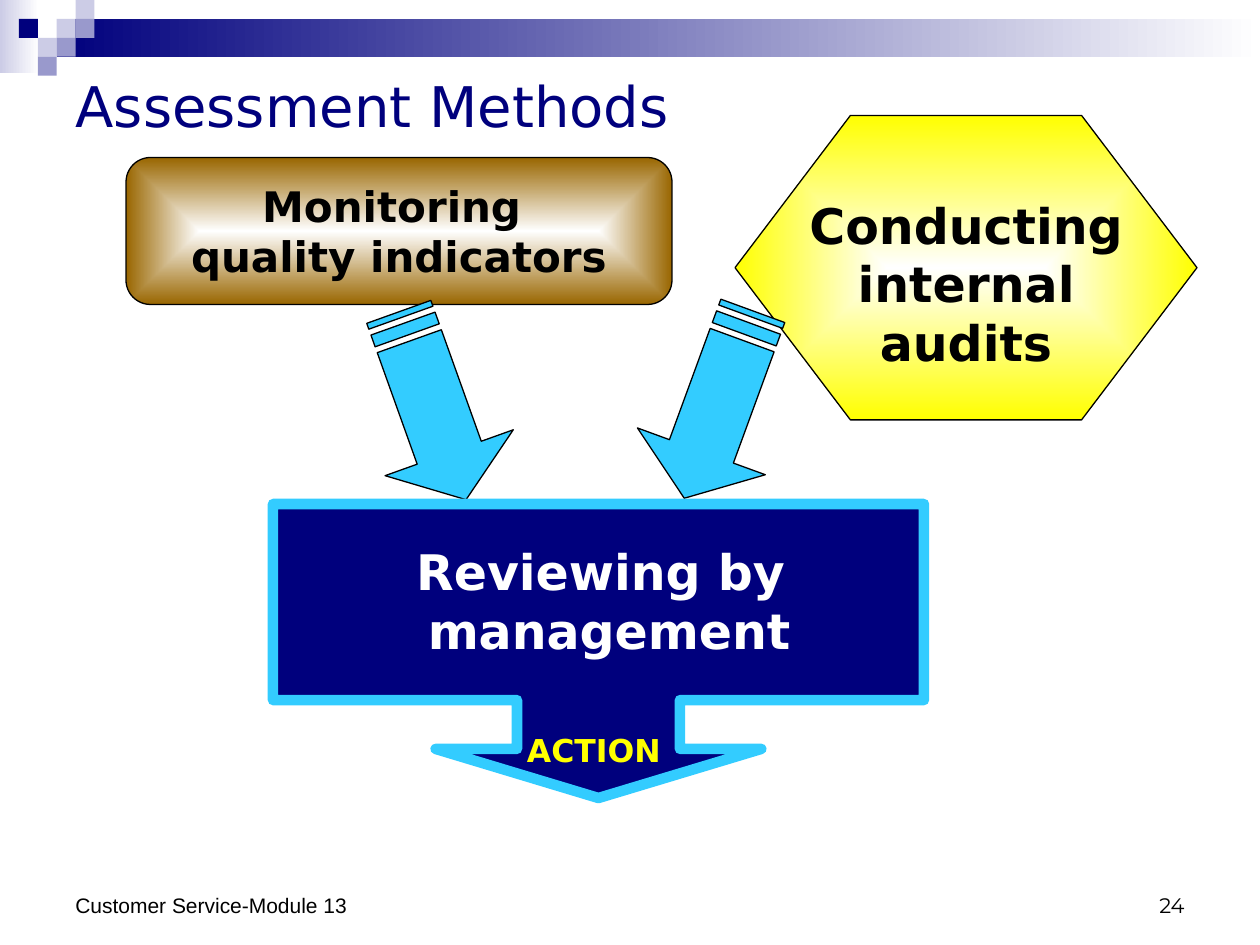
from dataclasses import dataclass

from lxml import etree
from pptx import Presentation
from pptx.dml.color import RGBColor
from pptx.enum.shapes import MSO_SHAPE
from pptx.enum.text import MSO_ANCHOR, PP_ALIGN
from pptx.oxml.ns import qn
from pptx.util import Pt

RECT = MSO_SHAPE.RECTANGLE
ROUND_RECT = MSO_SHAPE.ROUNDED_RECTANGLE
HEXAGON = MSO_SHAPE.HEXAGON
CALLOUT = MSO_SHAPE.DOWN_ARROW_CALLOUT
LEFT, CENTER, RIGHT = PP_ALIGN.LEFT, PP_ALIGN.CENTER, PP_ALIGN.RIGHT
TOP, MIDDLE, BOTTOM = MSO_ANCHOR.TOP, MSO_ANCHOR.MIDDLE, MSO_ANCHOR.BOTTOM


@dataclass(frozen=True)
class Theme:
    navy: str = "00007D"
    mid: str = "9999CC"
    light: str = "CCCCE6"
    white: str = "FFFFFF"
    black: str = "000000"
    brown: str = "996600"
    yellow: str = "FFFF00"
    sky: str = "33CCFF"
    font: str = "DejaVu Sans"
    footer_font: str = "Arial"
    number_font: str = "Montserrat"
    title: int = 32
    large: int = 28
    medium: int = 24
    action: int = 18
    small: int = 12


T = Theme()


def rgb(color):
    return RGBColor.from_string(color)


def box(values):
    return [Pt(v) for v in values]


def set_line(sp, color, width):
    if color is None:
        sp.line.fill.background()
    else:
        sp.line.color.rgb = rgb(color)
        sp.line.width = Pt(width)


def set_gradient(sp, start, end, from_center):
    sp.fill.gradient()
    for stop, color in zip(sp.fill.gradient_stops, (start, end)):
        stop.color.rgb = rgb(color)
    sp.fill.gradient_angle = 0
    if from_center:
        grad = sp._element.spPr.find(qn("a:gradFill"))
        grad.remove(grad.find(qn("a:lin")))
        center = etree.SubElement(grad, qn("a:path"), {"path": "rect"})
        sides = dict.fromkeys("ltrb", "50000")
        etree.SubElement(center, qn("a:fillToRect"), sides)


def add_shape(s, kind, at, fill, line=None, width=0.75, adj=(), from_center=False):
    sp = s.shapes.add_shape(kind, *box(at))
    sp.shadow.inherit = False
    for i, value in enumerate(adj):
        sp.adjustments[i] = value
    if isinstance(fill, tuple):
        set_gradient(sp, *fill, from_center)
    else:
        sp.fill.solid()
        sp.fill.fore_color.rgb = rgb(fill)
    set_line(sp, line, width)
    return sp


def set_text(sp, text, size, color, font=T.font, bold=False, align=LEFT,
             anchor=TOP, wrap=True):
    tf = sp.text_frame
    tf.word_wrap = wrap
    tf.vertical_anchor = anchor
    tf.text = text
    for p in tf.paragraphs:
        p.alignment = align
        for r in p.runs:
            r.font.name = font
            r.font.size = Pt(size)
            r.font.bold = bold
            r.font.color.rgb = rgb(color)


def add_text(s, at, text, size, color, **style):
    set_text(s.shapes.add_textbox(*box(at)), text, size, color, **style)


def add_title(s, text):
    title = s.shapes.title
    title.left, title.top, title.width, title.height = box((36, 36, 648, 48))
    set_text(title, text, T.title, T.navy, anchor=MIDDLE)


def add_striped_arrow(s, left, top, width, height, rotation):
    stripes = [[(a, 0.25), (b, 0.25), (b, 0.75), (a, 0.75)]
               for a, b in ((0, 1 / 32), (1 / 16, 1 / 8))]
    body = [(5 / 32, 0.25), (0.75, 0.25), (0.75, 0), (1, 0.5),
            (0.75, 1), (0.75, 0.75), (5 / 32, 0.75)]
    outlines = [[(Pt(left + x * width), Pt(top + y * height)) for x, y in outline]
                for outline in (body, *stripes)]
    builder = s.shapes.build_freeform(*outlines[0][0])
    for i, points in enumerate(outlines):
        if i:
            builder.move_to(*points[0])
        builder.add_line_segments(points[1:], close=True)
    sp = builder.convert_to_shape()
    sp.shadow.inherit = False
    sp.rotation = rotation
    sp.fill.solid()
    sp.fill.fore_color.rgb = rgb(T.sky)
    set_line(sp, T.black, 0.75)


def add_header(s):
    add_shape(s, RECT, (0, 0, 22.3, 41.8), (T.light, T.white))
    add_shape(s, RECT, (32.4, 10.8, 687.6, 21.6), (T.navy, T.white))
    side = 10.8
    squares = [(3, 1, T.light), (4, 0, T.light), (4, 1, T.mid), (2, 2, T.light),
               (1, 1, T.navy), (3, 2, T.mid), (2, 3, T.mid)]
    for col, row, color in squares:
        add_shape(s, RECT, (col * side, row * side, side, side), color)


def main():
    prs = Presentation()
    prs.slide_width, prs.slide_height = Pt(720), Pt(540)
    s = prs.slides.add_slide(prs.slide_layouts[5])

    add_header(s)
    add_title(s, "Assessment Methods")

    monitoring = add_shape(s, ROUND_RECT, (72, 90, 312, 84), (T.white, T.brown),
                           T.black, adj=(0.167,), from_center=True)
    set_text(monitoring, "Monitoring \nquality indicators", T.medium, T.black,
             bold=True, align=CENTER, anchor=MIDDLE, wrap=False)

    add_shape(s, HEXAGON, (420, 66, 264, 174), (T.white, T.yellow), T.black,
              adj=(0.379,), from_center=True)
    add_text(s, (450, 108, 204, 108), "Conducting internal audits", T.large,
             T.black, bold=True, align=CENTER)

    add_striped_arrow(s, 190.1, 193, 114, 77.8, 70.3)
    add_striped_arrow(s, 353.6, 192.3, 114, 77.8, 110.1)

    add_shape(s, CALLOUT, (156, 288, 372, 168), T.navy, T.sky, 6,
              adj=(0.554, 0.554, 0.167, 0.667))
    add_text(s, (180, 306, 336, 75), "Reviewing by \vmanagement", T.large,
             T.white, bold=True, align=CENTER)
    add_text(s, (294, 414, 126, 29), "ACTION", T.action, T.yellow, bold=True)

    add_text(s, (36, 492, 438, 36), "Customer Service-Module 13", T.small,
             T.black, font=T.footer_font, anchor=BOTTOM)
    add_text(s, (516, 492, 168, 36), "24", T.small, T.black,
             font=T.number_font, align=RIGHT, anchor=BOTTOM)

    prs.save("out.pptx")


if __name__ == "__main__":
    main()
